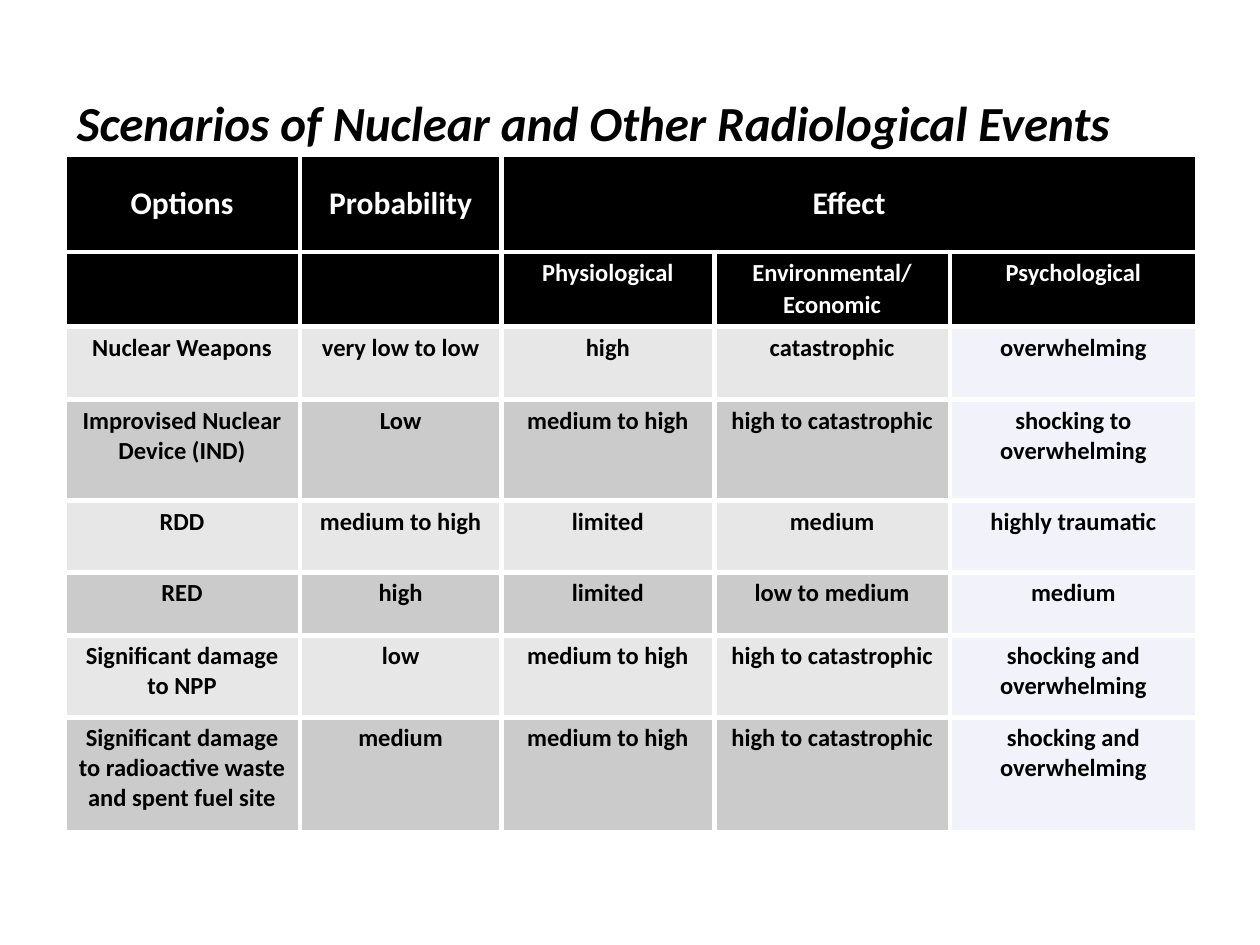
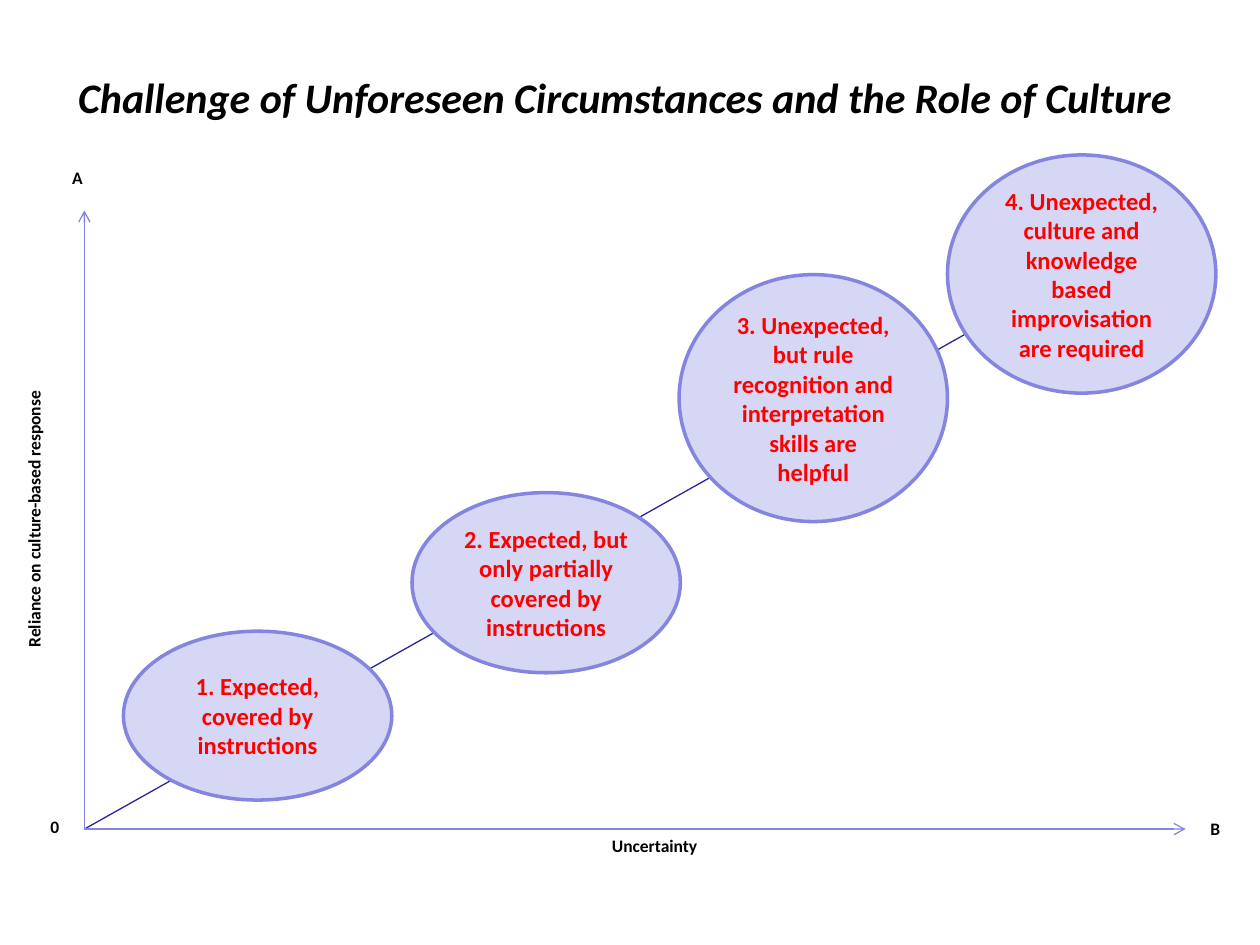
from dataclasses import dataclass

from lxml.etree import SubElement
from pptx import Presentation
from pptx.dml.color import RGBColor as RGB
from pptx.enum.shapes import MSO_CONNECTOR as LINK, MSO_SHAPE as SHAPE
from pptx.enum.text import MSO_ANCHOR as ANCHOR, MSO_AUTO_SIZE as FIT, PP_ALIGN as ALIGN
from pptx.oxml.ns import qn
from pptx.util import Inches, Pt


@dataclass(frozen=True)
class Theme:
    font: str = "Calibri"
    black: str = "000000"
    white: str = "FFFFFF"
    red: str = "FF0000"
    light: str = "E7E7E7"
    dark: str = "CBCBCB"
    pale: str = "D6D6F5"
    violet: str = "8585E0"
    navy: str = "262699"
    head: int = 18
    body: int = 14
    label: int = 10


T = Theme()

WIDTHS = [1.87, 1.6, 1.69, 1.87, 1.96]
HEIGHTS = [0.77, 0.59, 0.58, 0.8, 0.57, 0.5, 0.65, 0.91]
ROWS = [
    ["Options", "Probability", "Effect", "", ""],
    ["", "", "Physiological", "Environmental/\nEconomic", "Psychological"],
    ["Nuclear Weapons", "very low to low", "high", "catastrophic", "overwhelming"],
    ["Improvised Nuclear Device (IND)", "Low", "medium to high",
     "high to catastrophic", "shocking to overwhelming"],
    ["RDD", "medium to high", "limited", "medium", "highly traumatic"],
    ["RED", "high", "limited", "low to medium", "medium"],
    ["Significant damage to NPP", "low", "medium to high",
     "high to catastrophic", "shocking and overwhelming"],
    ["Significant damage to radioactive waste and spent fuel site", "medium",
     "medium to high", "high to catastrophic", "shocking and overwhelming"],
]

# Left, top and height of each stage, measured from the chart box
STAGES = [
    (0.31, 3.34, 1.34, "1. Expected, covered by instructions"),
    (2.6, 2.24, 1.43, "2. Expected, but only partially covered by instructions"),
    (4.72, 0.51, 1.96, "3. Unexpected, but rule recognition and "
                       "interpretation skills are helpful"),
    (6.85, -0.44, 1.89, "4. Unexpected, culture and knowledge based "
                        "improvisation are required"),
]


def style(frame, text, size, color, align=ALIGN.CENTER, italic=False, after=0):
    frame.text = text
    for para in frame.paragraphs:
        para.alignment = align
        para.space_after = Pt(after)
        for run in para.runs:
            font = run.font
            font.name, font.size = T.font, Pt(size)
            font.bold, font.italic = True, italic
            font.color.rgb = RGB.from_string(color)


def paint(part, color):
    part.fill.solid()
    part.fill.fore_color.rgb = RGB.from_string(color)


def add_title(slide, text, box, size, inset=0.1):
    title = slide.shapes.title
    title.left, title.top, title.width, title.height = map(Inches, box)
    frame = title.text_frame
    style(frame, text, size, T.black, ALIGN.LEFT, italic=True)
    frame.paragraphs[0].line_spacing = 0.9
    frame.paragraphs[0].space_before = Pt(0)
    frame.word_wrap, frame.auto_size = True, FIT.NONE
    frame.vertical_anchor = ANCHOR.BOTTOM
    frame.margin_left, frame.margin_right = Inches(inset), Inches(0.1)
    frame.margin_top, frame.margin_bottom = 0, Inches(0.05)


def add_edges(cell):
    props = cell._tc.get_or_add_tcPr()
    for spot, side in enumerate("LRTB"):
        edge = SubElement(props, qn(f"a:ln{side}"), w=str(Pt(3)))
        fill = SubElement(edge, qn("a:solidFill"))
        SubElement(fill, qn("a:srgbClr"), val=T.white)
        props.insert(spot, edge)


def fill_cell(cell, row, col):
    if row < 2:
        paint(cell, T.black)
    elif col == 4:
        paint(cell, T.pale)
        tint = cell._tc.tcPr.find(".//" + qn("a:srgbClr"))
        SubElement(tint, qn("a:alpha"), val="30000")
    else:
        paint(cell, T.dark if row % 2 else T.light)


def add_grid(slide, box):
    grid = slide.shapes.add_table(len(ROWS), len(WIDTHS), *map(Inches, box)).table
    grid.first_row = grid.horz_banding = False
    for col, width in zip(grid.columns, WIDTHS):
        col.width = Inches(width)
    for line, height in zip(grid.rows, HEIGHTS):
        line.height = Inches(height)
    for row, texts in enumerate(ROWS):
        size = T.body if row else T.head
        for col, text in enumerate(texts):
            cell = grid.cell(row, col)
            style(cell.text_frame, text, size,
                  T.white if row < 2 else T.black, after=size / 10)
            cell.vertical_anchor = ANCHOR.TOP if row else ANCHOR.MIDDLE
            fill_cell(cell, row, col)
            add_edges(cell)
    grid.cell(0, 2).merge(grid.cell(0, 4))


def add_line(slide, start, end, color, arrow=False):
    line = slide.shapes.add_connector(LINK.STRAIGHT, *map(Inches, start + end))
    line.line.color.rgb = RGB.from_string(color)
    line.line.width = Pt(0.75)
    if arrow:
        SubElement(line.line._get_or_add_ln(), qn("a:tailEnd"), type="arrow")
    SubElement(line._element.spPr, qn("a:effectLst"))


def add_label(slide, text, left, top, width=0.31, turn=0):
    label = slide.shapes.add_textbox(*map(Inches, (left, top, width, 0.5)))
    label.rotation = turn
    label.text_frame.word_wrap = True
    style(label.text_frame, text, T.label, T.black)


def add_stage(slide, text, box):
    oval = slide.shapes.add_shape(SHAPE.OVAL, *map(Inches, box))
    oval.shadow.inherit = False
    paint(oval, T.pale)
    oval.line.color.rgb = RGB.from_string(T.violet)
    oval.line.width = Pt(2)
    frame = oval.text_frame
    frame.word_wrap, frame.vertical_anchor = True, ANCHOR.MIDDLE
    style(frame, text, T.body, T.red)


def add_path(slide, box):
    left, top, width, height = box
    right, base = left + width, top + height
    zero = (left, base)
    # Trend and axes
    add_line(slide, zero, (right, top), T.navy)
    add_line(slide, zero, (left, top), T.violet, arrow=True)
    add_line(slide, zero, (right, base), T.violet, arrow=True)
    # Axis ends and names
    add_label(slide, "0", left - 0.39, base - 0.15)
    add_label(slide, "A", left - 0.21, top - 0.39)
    add_label(slide, "B", right + 0.08, base - 0.14)
    add_label(slide, "Uncertainty", left + 1.26, base, 6.53)
    add_label(slide, "Reliance on culture-based response",
              left - 3.55, top + 2.2, 6.53, 270)
    # Stages along the trend
    for dx, dy, tall, text in STAGES:
        add_stage(slide, text, (left + dx, top + dy, 2.13, tall))


def main():
    deck = Presentation()
    deck.slide_width, deck.slide_height = Inches(10), Inches(7.5)
    layout = deck.slide_layouts[5]

    # Scenario table
    slide = deck.slides.add_slide(layout)
    add_title(slide, "Scenarios of Nuclear and Other Radiological Events",
              (0.51, 0.24, 8.91, 1.02), 28)
    add_grid(slide, (0.51, 1.23, sum(WIDTHS), sum(HEIGHTS)))

    # Uncertainty chart
    slide = deck.slides.add_slide(layout)
    add_title(slide, "Challenge of Unforeseen Circumstances and the Role of Culture",
              (0.14, 0, 9.51, 1.02), 24, inset=0.48)
    add_path(slide, (0.67, 1.67, 8.74, 4.91))

    deck.save("out.pptx")


if __name__ == "__main__":
    main()
